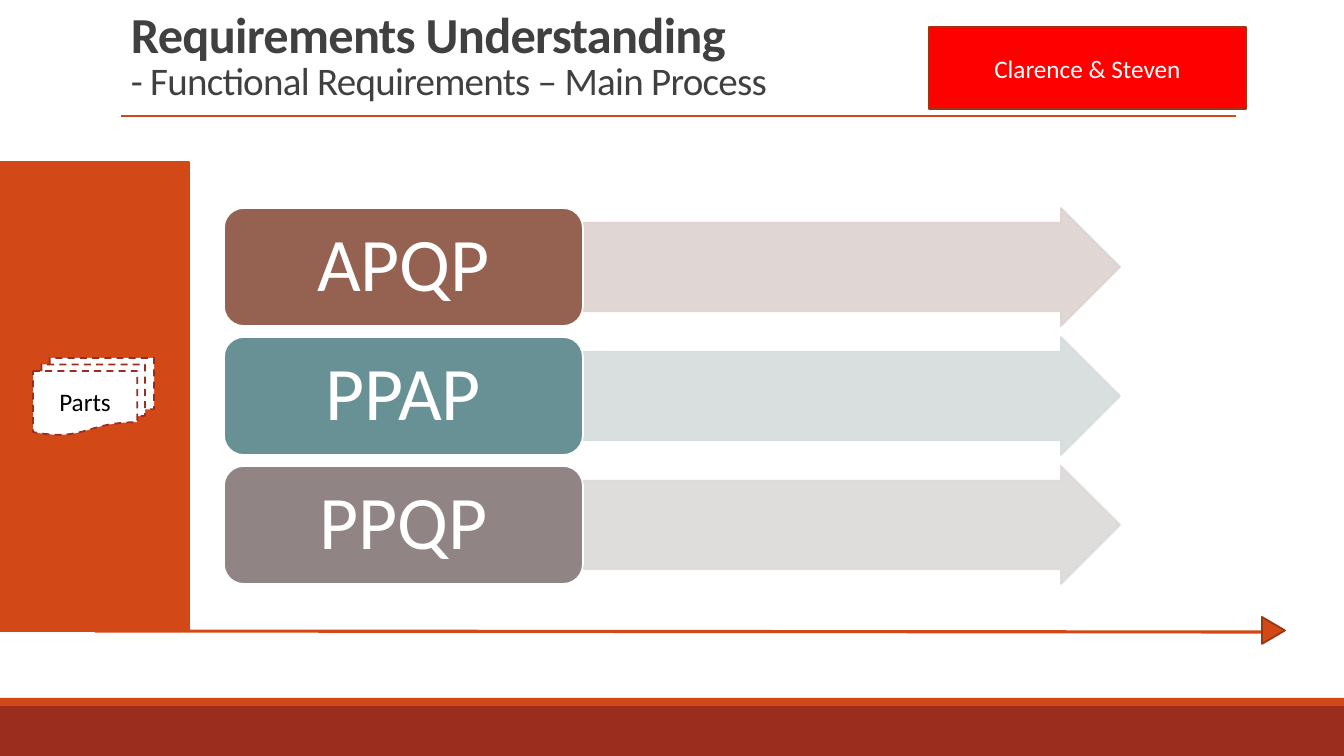
from lxml import etree
from pptx import Presentation
from pptx.dml.color import RGBColor
from pptx.enum.dml import MSO_LINE
from pptx.enum.shapes import MSO_CONNECTOR, MSO_SHAPE
from pptx.enum.text import MSO_ANCHOR, PP_ALIGN
from pptx.oxml.ns import qn
from pptx.util import Emu, Pt

RECT, ROUNDED = MSO_SHAPE.RECTANGLE, MSO_SHAPE.ROUNDED_RECTANGLE
ARROW, TRIANGLE = MSO_SHAPE.RIGHT_ARROW, MSO_SHAPE.ISOSCELES_TRIANGLE
DOCUMENTS = MSO_SHAPE.FLOWCHART_MULTIDOCUMENT
STRAIGHT, DASH = MSO_CONNECTOR.STRAIGHT, MSO_LINE.DASH
MIDDLE, BOTTOM = MSO_ANCHOR.MIDDLE, MSO_ANCHOR.BOTTOM
LEFT, CENTER = PP_ALIGN.LEFT, PP_ALIGN.CENTER

WHITE = RGBColor(0xFF, 0xFF, 0xFF)
BLACK = RGBColor(0x00, 0x00, 0x00)
GRAY = RGBColor(0x40, 0x40, 0x40)
RED = RGBColor(0xFF, 0x00, 0x00)
ORANGE = RGBColor(0xD3, 0x48, 0x17)
RUST = RGBColor(0x9C, 0x35, 0x11)
BRICK = RGBColor(0x9B, 0x2D, 0x1F)
BROWN = RGBColor(0x95, 0x62, 0x51)
PALE_BROWN = RGBColor(0xDD, 0xD3, 0xD0)
TEAL = RGBColor(0x68, 0x91, 0x95)
PALE_TEAL = RGBColor(0xD5, 0xDC, 0xDC)
MAUVE = RGBColor(0x91, 0x84, 0x85)
PALE_MAUVE = RGBColor(0xDC, 0xD9, 0xD9)

PAGE_WIDTH, PAGE_HEIGHT = 1344, 756
PROCESSES = [("APQP", BROWN, PALE_BROWN), ("PPAP", TEAL, PALE_TEAL),
             ("PPQP", MAUVE, PALE_MAUVE)]
PROCESS_TOP, PROCESS_STEP, PROCESS_HEIGHT = 208, 129, 118


def px(length):
    """Turn pixels into EMU."""
    return Emu(round(length * 914400 / 100.8))


def apply(target, values):
    """Set every attribute named in a dict."""
    for name, value in values.items():
        setattr(target, name, value)


def set_alpha(fill_parent, percent):
    """Make the solid fill under an element partly transparent."""
    color = fill_parent.find(qn("a:solidFill"))[0]
    etree.SubElement(color, qn("a:alpha"), val=str(percent * 1000))


class Painter:
    """Holds the text style and the current slide."""

    font = "Calibri"

    def __init__(self, page):
        """Draw on the given slide."""
        self.shapes = page.shapes

    def shape(self, kind, at, fill, line=None, alpha=None, dash=None, **values):
        """Add a preset shape; extra values are set on the shape."""
        box = self.shapes.add_shape(kind, *map(px, at))
        box.shadow.inherit = False
        box.fill.solid()
        box.fill.fore_color.rgb = fill
        if line is None:
            box.line.fill.background()
        else:
            box.line.color.rgb = line
            apply(box.line, {"width": Pt(1.25), "dash_style": dash})
        if alpha:
            set_alpha(box._element.spPr, alpha)
            set_alpha(box._element.spPr.find(qn("a:ln")), alpha)
        apply(box, values)
        return box

    def line(self, start, end, color, width):
        """Add a straight line without a shadow."""
        rule = self.shapes.add_connector(STRAIGHT, *map(px, start + end))
        rule.line.color.rgb = color
        rule.line.width = Pt(width)
        etree.SubElement(rule._element.spPr, qn("a:effectLst"))

    def text(self, box, spans, color, align=CENTER, anchor=MIDDLE,
             spacing=1.0, tracking=0):
        """Write (text, size, bold) spans in one paragraph, a line for each."""
        apply(box.text_frame, {"word_wrap": True, "vertical_anchor": anchor})
        para = box.text_frame.paragraphs[0]
        apply(para, {"alignment": align, "line_spacing": spacing})
        for index, (words, size, bold) in enumerate(spans):
            if index:
                para.add_line_break()
            span = para.add_run()
            span.text = words
            apply(span.font, {"name": self.font, "size": Pt(size), "bold": bold})
            span.font.color.rgb = color
            if tracking:
                span.font._element.set("spc", str(tracking))

    def title(self, at, spans):
        """Add the slide title."""
        box = self.shapes.add_textbox(*map(px, at))
        self.text(box, spans, GRAY, LEFT, BOTTOM, 0.85, -50)

    def process(self, top, name, fill, pale):
        """Add one process: a pale arrow led by its name box."""
        arrow = self.shape(ARROW, (583, top, 537, PROCESS_HEIGHT), pale, pale, 90)
        arrow.adjustments[0] = 0.75
        box = self.shape(ROUNDED, (224, top, 359, PROCESS_HEIGHT), fill, WHITE)
        self.text(box, [(name, 54, False)], WHITE, spacing=0.9)


def main():
    """Build the slide and save it."""
    deck = Presentation()
    apply(deck, {"slide_width": px(PAGE_WIDTH), "slide_height": px(PAGE_HEIGHT)})
    painter = Painter(deck.slides.add_slide(deck.slide_layouts[6]))

    painter.shape(RECT, (0, 706, PAGE_WIDTH, 50), BRICK)
    painter.shape(RECT, (0, 698, PAGE_WIDTH, 8), ORANGE)
    painter.line((121, 116), (1236, 116), ORANGE, 1)

    painter.shape(RECT, (0, 162, 189, 469), ORANGE, ORANGE)
    painter.line((95, 631), (1262, 632), ORANGE, 2.25)
    painter.shape(TRIANGLE, (1260, 619, 27, 23), ORANGE, RUST, rotation=90)

    painter.title((121, 27, 1109, 82), [
        ("Requirements Understanding", 36, True),
        ("- Functional Requirements – Main Process", 27.9, False)])
    owners = painter.shape(RECT, (929, 27, 317, 82), RED, RUST)
    painter.text(owners, [("Clarence & Steven", 18, False)], WHITE)
    parts = painter.shape(DOCUMENTS, (33, 358, 121, 77), WHITE, BRICK, dash=DASH)
    painter.text(parts, [("Parts", 18, False)], BLACK)

    for row, process in enumerate(PROCESSES):
        painter.process(PROCESS_TOP + row * PROCESS_STEP, *process)
    deck.save("out.pptx")


main()
